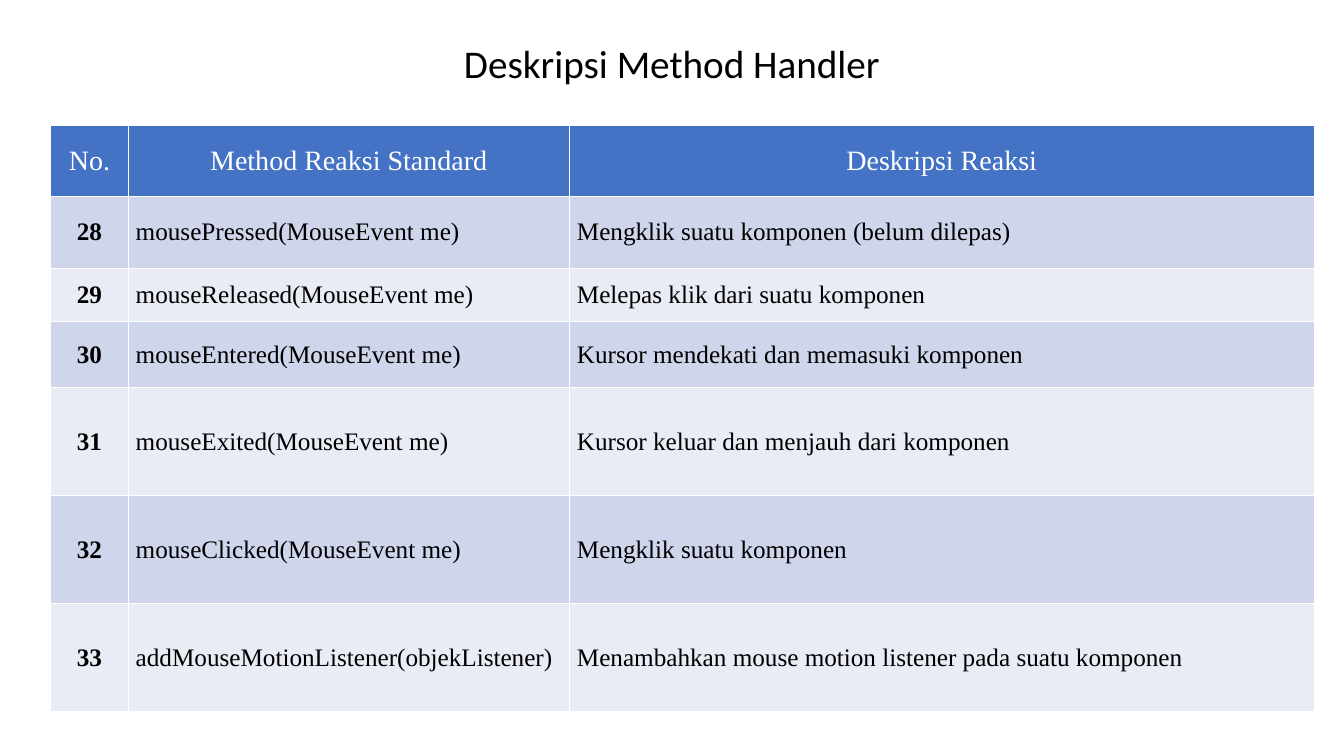
import pptx
import pptx.dml.color
import pptx.enum.text
import pptx.oxml
import pptx.oxml.ns
import pptx.util
from pptx.util import Cm

TITLE = "Deskripsi Method Handler"
HEADER = ("No.", "Method Reaksi Standard", "Deskripsi Reaksi")
FIRST_NUMBER = 28
METHODS = [
    ("mousePressed(MouseEvent me)", "Mengklik suatu komponen (belum dilepas)"),
    ("mouseReleased(MouseEvent me)", "Melepas klik dari suatu komponen"),
    ("mouseEntered(MouseEvent me)", "Kursor mendekati dan memasuki komponen"),
    ("mouseExited(MouseEvent me)", "Kursor keluar dan menjauh dari komponen"),
    ("mouseClicked(MouseEvent me)", "Mengklik suatu komponen"),
    ("addMouseMotionListener(objekListener)",
     "Menambahkan mouse motion listener pada suatu komponen"),
]
COLUMN_WIDTHS = [1.95, 11.12, 18.77]
ROW_HEIGHTS = [1.79, 1.81, 1.34, 1.67, 2.72, 2.72, 2.72]
COLORS = {"header": "4472C4", "odd": "CFD5EA", "even": "E9EBF5",
          "white": "FFFFFF", "black": "000000"}
ALIGN = pptx.enum.text.PP_ALIGN
MIDDLE = pptx.enum.text.MSO_ANCHOR.MIDDLE


def rgb(name):
    return pptx.dml.color.RGBColor.from_string(COLORS[name])


def format_paragraph(para, font_name, size, color, align, bold=False):
    para.alignment = align
    para.font.name = font_name
    para.font.size = pptx.util.Pt(size)
    para.font.bold = bold
    para.font.color.rgb = rgb(color)


def add_borders(cell):
    """Draw a thin white line on all four sides; lines must precede the fill."""
    properties = cell._tc.get_or_add_tcPr()
    for position, side in enumerate(("lnL", "lnR", "lnT", "lnB")):
        line = pptx.oxml.parse_xml(
            f'<a:{side} {pptx.oxml.ns.nsdecls("a")} w="12700"><a:solidFill>'
            f'<a:srgbClr val="{COLORS["white"]}"/></a:solidFill></a:{side}>')
        properties.insert(position, line)


def fill_cell(cell, text, row, column):
    is_header = row == 0
    cell.text = text
    cell.vertical_anchor = MIDDLE
    cell.margin_left = cell.margin_right = Cm(0.19)
    cell.margin_top = cell.margin_bottom = 0
    cell.fill.solid()
    cell.fill.fore_color.rgb = rgb(
        "header" if is_header else "odd" if row % 2 else "even")
    add_borders(cell)
    format_paragraph(
        cell.text_frame.paragraphs[0], "Times New Roman",
        20 if is_header else 18, "white" if is_header else "black",
        ALIGN.CENTER if is_header or column == 0 else ALIGN.LEFT,
        bold=not is_header and column == 0)


def add_title(page):
    title = page.shapes.title
    title.left, title.top, title.width, title.height = (
        Cm(5.5), Cm(0.76), Cm(22.86), Cm(1.78))
    title.text_frame.text = TITLE
    title.text_frame.vertical_anchor = MIDDLE
    para = title.text_frame.paragraphs[0]
    para.line_spacing = 0.9
    format_paragraph(para, "Calibri", 28, "black", ALIGN.CENTER)


def add_method_table(page):
    rows = [HEADER] + [(str(number), *method) for number, method
                       in enumerate(METHODS, FIRST_NUMBER)]
    table = page.shapes.add_table(
        len(rows), len(HEADER), Cm(1.28), Cm(3.16),
        Cm(sum(COLUMN_WIDTHS)), Cm(sum(ROW_HEIGHTS))).table
    for column, width in zip(table.columns, COLUMN_WIDTHS):
        column.width = Cm(width)
    for row, height in zip(table.rows, ROW_HEIGHTS):
        row.height = Cm(height)
    for row, texts in enumerate(rows):
        for column, text in enumerate(texts):
            fill_cell(table.cell(row, column), text, row, column)


def main():
    deck = pptx.Presentation()
    deck.slide_width, deck.slide_height = Cm(33.87), Cm(19.05)
    page = deck.slides.add_slide(deck.slide_layouts.get_by_name("Title Only"))
    add_title(page)
    add_method_table(page)
    deck.save("out.pptx")


if __name__ == "__main__":
    main()
